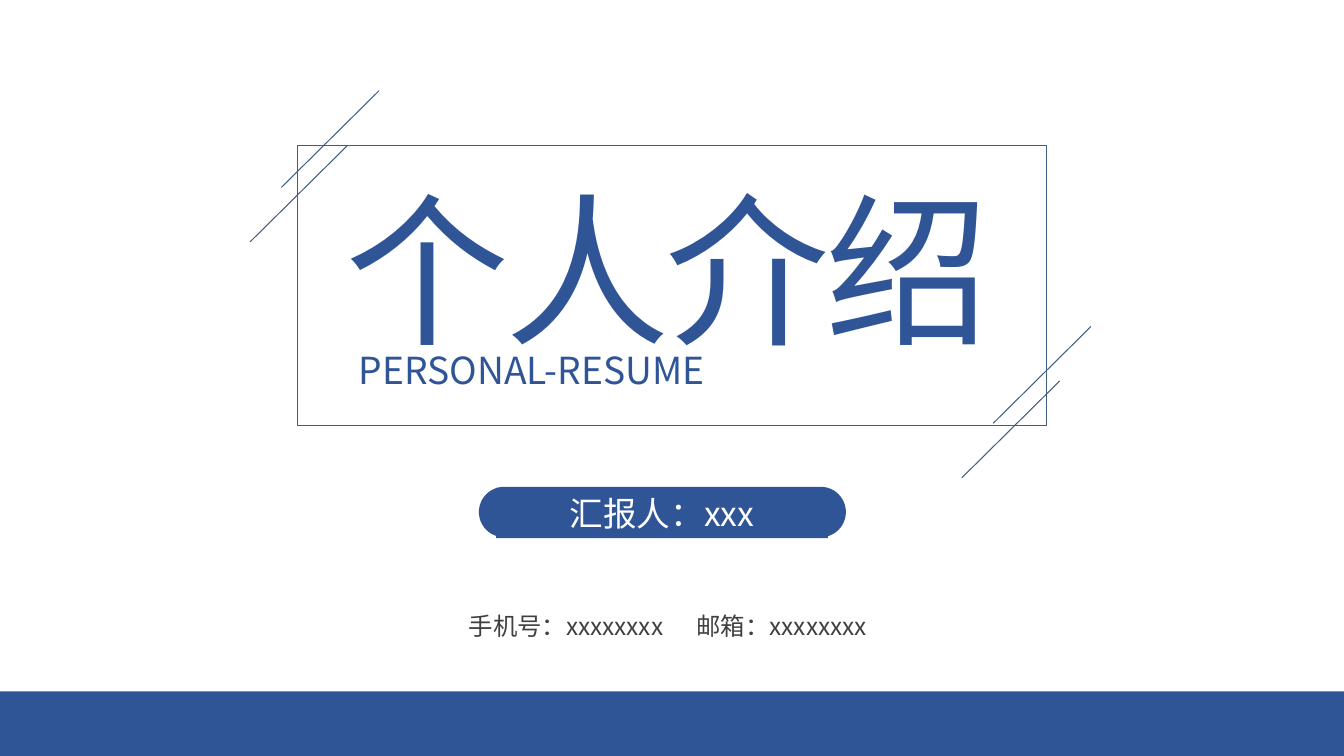
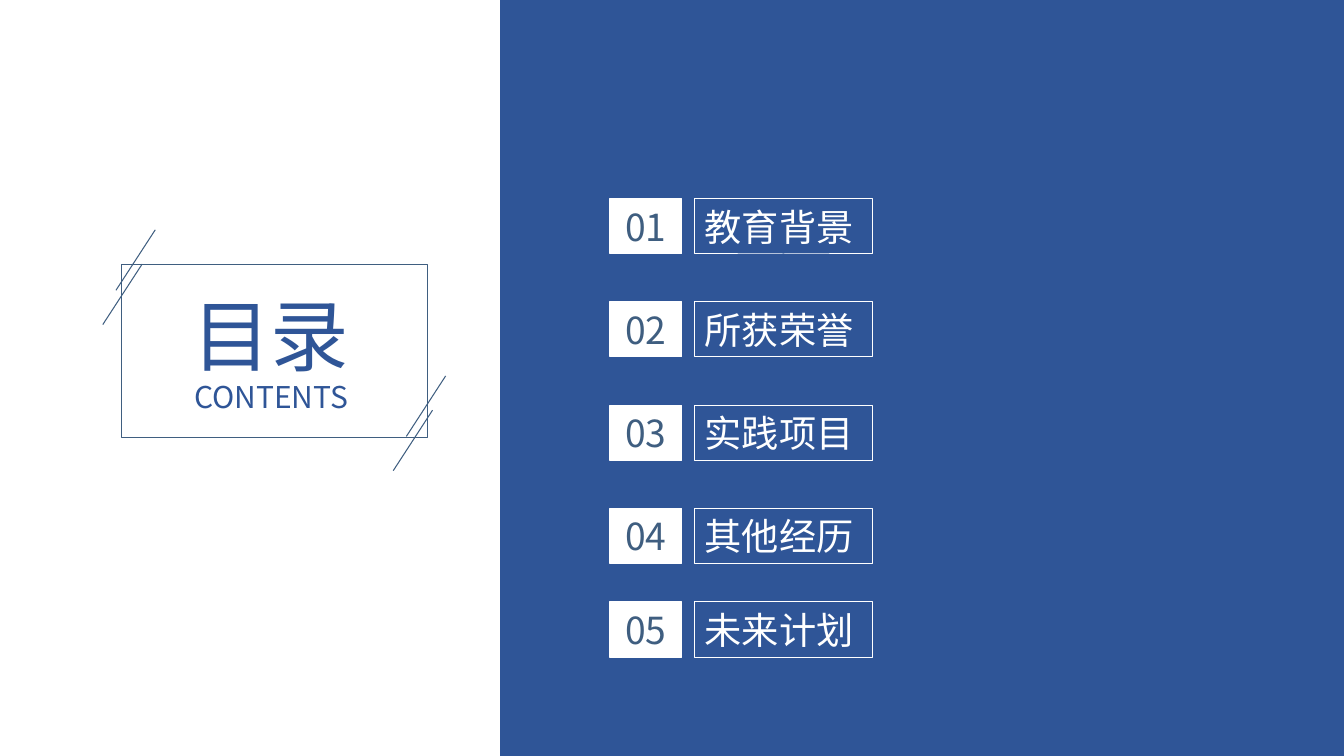
from lxml.etree import SubElement
from pptx import Presentation
from pptx.dml.color import RGBColor
from pptx.enum.shapes import MSO_CONNECTOR, MSO_SHAPE
from pptx.enum.text import MSO_ANCHOR, PP_ALIGN
from pptx.oxml.ns import qn
from pptx.util import Inches, Pt

BLUE = RGBColor(0x2F, 0x55, 0x97)
SLATE = RGBColor(0x3F, 0x5E, 0x80)
GRAY = RGBColor(0x40, 0x40, 0x40)
WHITE = RGBColor(0xFF, 0xFF, 0xFF)
FONT = "Noto Sans CJK SC"
LINE_WIDTH = Pt(0.75)

COVER_TITLE = "个人介绍"
COVER_SUBTITLE = "PERSONAL-RESUME"
PRESENTER = "汇报人：xxx"
CONTACTS = [("手机号：xxxxxxxx", 4.55), ("邮箱：xxxxxxxx", 6.81)]

CONTENTS_TITLE = "目录"
CONTENTS_SUBTITLE = "CONTENTS"
CHAPTERS = [
    ("教育背景", 1.97),
    ("所获荣誉", 2.99),
    ("实践项目", 4.02),
    ("其他经历", 5.04),
    ("未来计划", 5.97),
]

COVER_FRAME = dict(box=(2.95, 1.44, 7.43, 2.78), starts=[(3.45, 1.44), (10.51, 3.78)],
                   run=(0.97, 0.96), shift=(0.31, 0.54))
CONTENTS_FRAME = dict(box=(1.21, 2.62, 3.03, 1.72), starts=[(1.41, 2.62), (4.29, 4.07)],
                      run=(0.39, 0.6), shift=(0.13, 0.34))


def inches(values):
    return [Inches(v) for v in values]


def write(sp, text, size, color, align=PP_ALIGN.CENTER, spacing=None, inset=(0.1, 0.05)):
    tf = sp.text_frame
    tf.word_wrap = True
    tf.vertical_anchor = MSO_ANCHOR.MIDDLE
    tf.margin_left = tf.margin_right = Inches(inset[0])
    tf.margin_top = tf.margin_bottom = Inches(inset[1])
    p = tf.paragraphs[0]
    p.alignment = align
    r = p.add_run()
    r.text = text
    r.font.size = Pt(size)
    r.font.color.rgb = color
    r.font.name = FONT
    rPr = r.font._element
    SubElement(rPr, qn("a:ea")).set("typeface", FONT)
    if spacing is not None:
        rPr.set("spc", str(spacing * 100))


def add_text(s, box, text, size, color, **style):
    write(s.shapes.add_textbox(*inches(box)), text, size, color, **style)


def add_box(s, box, fill=None, line=None, kind=MSO_SHAPE.RECTANGLE):
    sp = s.shapes.add_shape(kind, *inches(box))
    sp.shadow.inherit = False
    if fill is None:
        sp.fill.background()
    else:
        sp.fill.solid()
        sp.fill.fore_color.rgb = fill
    if line is None:
        sp.line.fill.background()
    else:
        sp.line.color.rgb = line
        sp.line.width = LINE_WIDTH
    return sp


def add_stroke(s, x, y, run):
    c = s.shapes.add_connector(MSO_CONNECTOR.STRAIGHT,
                               *inches((x, y, x - run[0], y + run[1])))
    c.line.color.rgb = SLATE
    c.line.width = LINE_WIDTH
    SubElement(c._element.spPr, qn("a:effectLst"))


def add_frame(s, box, starts, run, shift):
    add_box(s, box, line=SLATE)
    for x, y in starts:
        add_stroke(s, x, y, run)
        add_stroke(s, x + shift[0], y - shift[1], run)


def build_cover(s):
    add_text(s, (3.37, 1.63, 6.58, 2.03), COVER_TITLE, 117.3, BLUE,
             align=PP_ALIGN.JUSTIFY, spacing=-3, inset=(0.06, 0.03))
    add_text(s, (3.46, 3.39, 6.41, 0.55), COVER_SUBTITLE, 26.6, BLUE,
             align=PP_ALIGN.JUSTIFY)
    for text, x in CONTACTS:
        add_text(s, (x, 6.01, 2.25, 0.39), text, 17.4, GRAY, align=PP_ALIGN.LEFT)
    pill = add_box(s, (4.75, 4.83, 3.64, 0.5), BLUE, kind=MSO_SHAPE.ROUNDED_RECTANGLE)
    pill.adjustments[0] = 0.5
    write(add_box(s, (4.92, 4.84, 3.29, 0.5), BLUE), PRESENTER, 24, WHITE)
    add_box(s, (0, 6.86, 13.33, 0.64), BLUE)
    add_frame(s, **COVER_FRAME)


def build_contents(s):
    add_box(s, (4.96, 0, 8.37, 7.5), BLUE)
    add_text(s, (0.77, 2.79, 3.83, 1.04), CONTENTS_TITLE, 56, BLUE)
    add_text(s, (0.94, 3.7, 3.5, 0.46), CONTENTS_SUBTITLE, 21.4, BLUE)
    add_frame(s, **CONTENTS_FRAME)
    for number, (chapter, y) in enumerate(CHAPTERS, 1):
        write(add_box(s, (6.05, y, 0.71, 0.55), WHITE, WHITE), f"{number:02}", 26.6, SLATE)
        write(add_box(s, (6.89, y, 1.76, 0.55), line=WHITE), chapter, 26.6, WHITE,
              align=PP_ALIGN.LEFT)


def main():
    prs = Presentation()
    prs.slide_width, prs.slide_height = Inches(13.33), Inches(7.5)
    for build in (build_cover, build_contents):
        build(prs.slides.add_slide(prs.slide_layouts[6]))
    prs.save("out.pptx")


if __name__ == "__main__":
    main()
